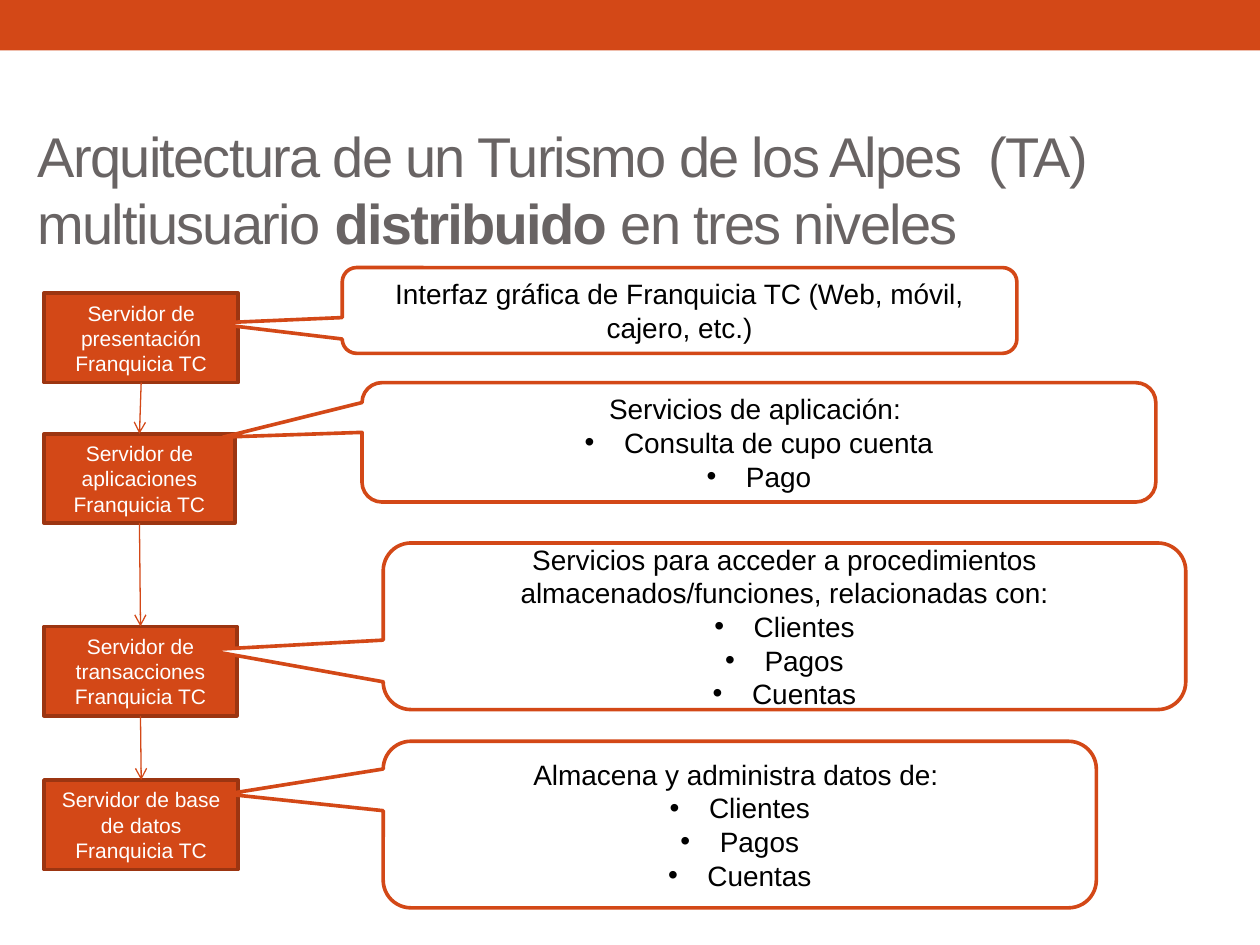
from lxml.etree import SubElement
from pptx import Presentation
from pptx.dml.color import RGBColor
from pptx.enum.shapes import MSO_CONNECTOR as Connector, MSO_SHAPE as Shape
from pptx.enum.text import MSO_ANCHOR as Anchor, PP_ALIGN as Align
from pptx.oxml.ns import qn
from pptx.util import Pt

COLORS = {"accent": "D34817", "edge": "9C3511", "title": "696464",
          "white": "FFFFFF", "black": "000000"}
FONT = "Arial"
TITLE = [("Arquitectura de un Turismo de los Alpes  (TA) multiusuario ", False),
         ("distribuido", True), (" en tres niveles", False)]
SERVER_LEFT, SERVER_HEIGHT = 25.2, 51.1
BORDER = 2.08
BULLET_INDENT = 22.5

# server: (text, top, width)
# callout: (heading, bullets, (left, top, width, height), pointer offset)
LEVELS = [
    {"server": ("Servidor de presentación Franquicia TC", 167.5, 111),
     "callout": ("Interfaz gráfica de Franquicia TC (Web, móvil, cajero, etc.)", [],
                 (195.6, 152.9, 385.5, 49), (-0.695, 0.149))},
    {"server": ("Servidor de aplicaciones Franquicia TC", 247.9, 109),
     "callout": ("Servicios de aplicación: ", ["Consulta de cupo cuenta", "Pago"],
                 (206.9, 218.7, 453.6, 68.2), (-0.675, -0.044))},
    {"server": ("Servidor de transacciones Franquicia TC", 358, 110.2),
     "callout": ("Servicios para acceder a procedimientos almacenados/funciones, "
                 "relacionadas con:", ["Clientes", "Pagos", "Cuentas"],
                 (219, 310.3, 458.6, 95.2), (-0.722, 0.142))},
    {"server": ("Servidor de base de datos Franquicia TC", 445.7, 111),
     "callout": ("Almacena y administra datos de: ", ["Clientes", "Pagos", "Cuentas"],
                 (219, 423.6, 407.5, 95.2), (-0.72, -0.183))},
]


def rgb(name):
    return RGBColor.from_string(COLORS[name])


def style(paragraph, size, color, align=Align.CENTER):
    paragraph.alignment = align
    font = paragraph.font
    font.name, font.size, font.color.rgb = FONT, Pt(size), rgb(color)


def add_box(slide, kind, bounds, fill, edge=None):
    box = slide.shapes.add_shape(kind, *map(Pt, bounds))
    box.shadow.inherit = False
    box.fill.solid()
    box.fill.fore_color.rgb = rgb(fill)
    if edge:
        box.line.color.rgb = rgb(edge)
        box.line.width = Pt(BORDER)
    else:
        box.line.fill.background()
    box.text_frame.word_wrap = True
    box.text_frame.vertical_anchor = Anchor.MIDDLE
    return box


def add_title(slide):
    title = slide.shapes.add_textbox(Pt(14.4), Pt(41.8), Pt(705.6), Pt(131.8))
    frame = title.text_frame
    frame.word_wrap = True
    frame.vertical_anchor = Anchor.MIDDLE
    paragraph = frame.paragraphs[0]
    style(paragraph, 32, "title", Align.LEFT)
    for words, bold in TITLE:
        run = paragraph.add_run()
        run.text = words
        run.font.bold = bold
        run.font._element.set("spc", "-100")


def add_server(slide, words, top, width):
    server = add_box(slide, Shape.RECTANGLE,
                     (SERVER_LEFT, top, width, SERVER_HEIGHT), "accent", "edge")
    paragraph = server.text_frame.paragraphs[0]
    paragraph.text = words
    style(paragraph, 12, "white")


def add_arrow(slide, upper, lower):
    """Join the bottom centre of one server to the top centre of the next."""
    (_, upper_top, upper_width), (_, lower_top, lower_width) = upper, lower
    arrow = slide.shapes.add_connector(
        Connector.STRAIGHT,
        Pt(SERVER_LEFT + upper_width / 2), Pt(upper_top + SERVER_HEIGHT),
        Pt(SERVER_LEFT + lower_width / 2), Pt(lower_top))
    arrow.line.color.rgb = rgb("accent")
    arrow.line.width = Pt(0.75)
    SubElement(arrow.line._get_or_add_ln(), qn("a:tailEnd"), type="arrow")
    SubElement(arrow._element.spPr, qn("a:effectLst"))


def add_bullet(paragraph):
    properties = paragraph._p.get_or_add_pPr()
    properties.set("marL", str(Pt(BULLET_INDENT)))
    properties.set("indent", str(-Pt(BULLET_INDENT)))
    bullet_font = SubElement(properties, qn("a:buFont"), typeface=FONT)
    bullet_font.addnext(SubElement(properties, qn("a:buChar"), char="•"))


def add_callout(slide, heading, bullets, bounds, pointer):
    callout = add_box(slide, Shape.ROUNDED_RECTANGULAR_CALLOUT, bounds,
                      "white", "accent")
    for index, value in enumerate((*pointer, 0.167)):
        callout.adjustments[index] = value
    frame = callout.text_frame
    frame.paragraphs[0].text = heading
    style(frame.paragraphs[0], 16, "black")
    for item in bullets:
        paragraph = frame.add_paragraph()
        paragraph.text = item
        add_bullet(paragraph)
        style(paragraph, 16, "black")


def main():
    deck = Presentation()
    deck.slide_width, deck.slide_height = Pt(720), Pt(540)
    slide = deck.slides.add_slide(deck.slide_layouts[6])
    add_box(slide, Shape.RECTANGLE, (0, 0, 720, 28.8), "accent")
    add_title(slide)
    servers = [level["server"] for level in LEVELS]
    for server in servers:
        add_server(slide, *server)
    for upper, lower in zip(servers, servers[1:]):
        add_arrow(slide, upper, lower)
    for level in LEVELS:
        add_callout(slide, *level["callout"])
    deck.save("out.pptx")


if __name__ == "__main__":
    main()
